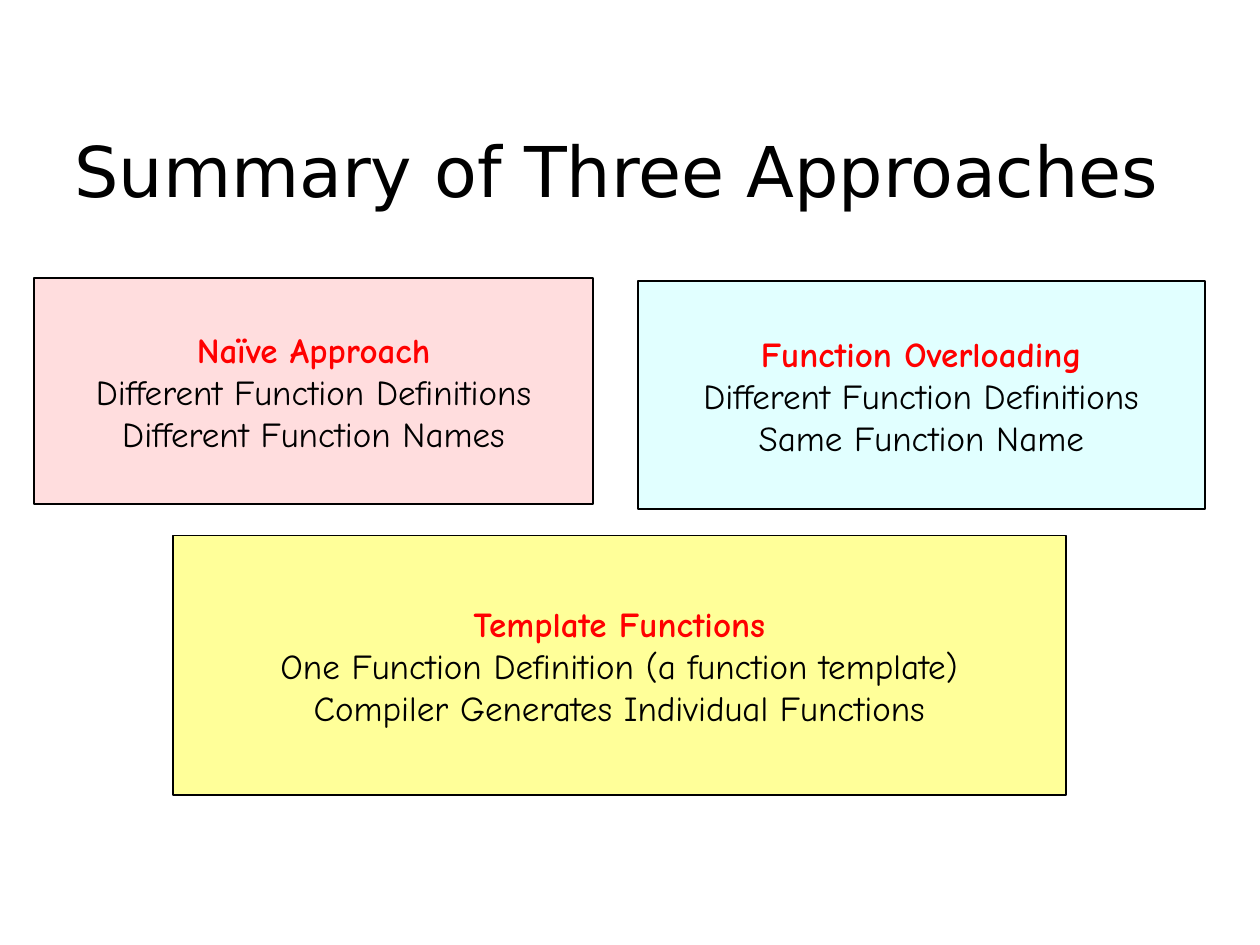
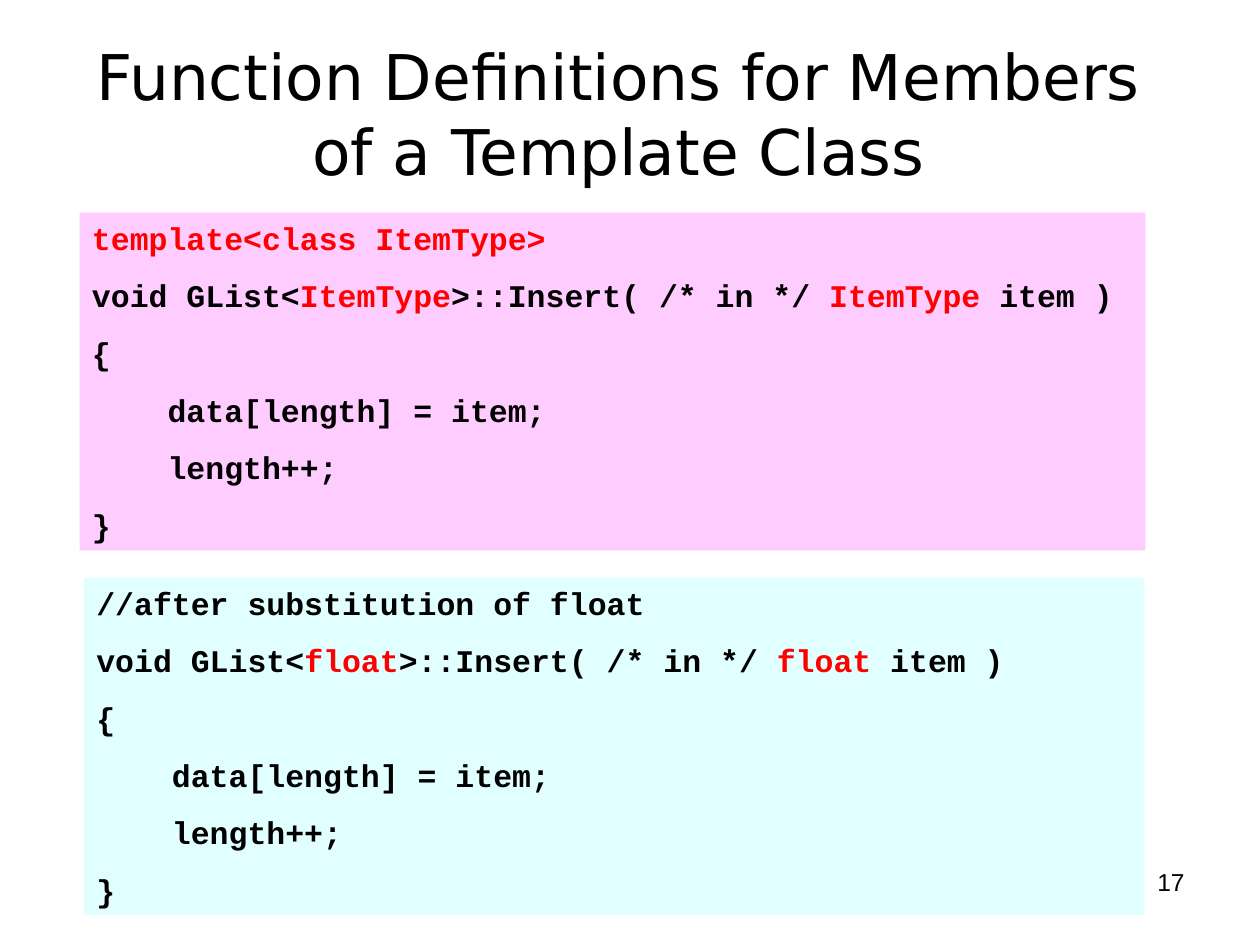
from pptx import Presentation
from pptx.dml.color import RGBColor
from pptx.enum.shapes import MSO_SHAPE
from pptx.enum.text import MSO_ANCHOR, MSO_AUTO_SIZE, PP_ALIGN
from pptx.util import Pt

BLACK, RED = "000000", "FF0000"
ROSE, AQUA, YELLOW, PINK = "FFDDDE", "E1FFFF", "FFFF99", "FFCCFF"
TITLE_FONT, CARD_FONT, CODE_FONT, NUMBER_FONT = (
    "DejaVu Sans", "Comic Neue", "Courier New", "Arial")


def color(hex_value):
    return RGBColor.from_string(hex_value)


def style(paragraph, font_name, size, align, bold=False, hex_value=None):
    paragraph.alignment = align
    font = paragraph.font
    font.name, font.size, font.bold = font_name, Pt(size), bold
    if hex_value:
        font.color.rgb = color(hex_value)


def paragraphs(frame, count):
    """Yield count paragraphs, starting with the one the frame already has."""
    yield frame.paragraphs[0]
    for _ in range(count - 1):
        yield frame.add_paragraph()


def add_titled_slide(prs, text, box, size, anchor):
    slide = prs.slides.add_slide(prs.slide_layouts[5])
    title = slide.shapes.title
    title.left, title.top, title.width, title.height = map(Pt, box)
    frame = title.text_frame
    frame.text = text
    frame.word_wrap = True
    frame.auto_size = MSO_AUTO_SIZE.NONE
    frame.vertical_anchor = anchor
    style(frame.paragraphs[0], TITLE_FONT, size, PP_ALIGN.CENTER, hex_value=BLACK)
    return slide


def add_panel(slide, box, fill, anchor, outlined=False, wrap=True):
    """Add a filled rectangle and return its text frame."""
    panel = slide.shapes.add_shape(MSO_SHAPE.RECTANGLE, *map(Pt, box))
    panel.shadow.inherit = False
    panel.fill.solid()
    panel.fill.fore_color.rgb = color(fill)
    if outlined:
        panel.line.color.rgb = color(BLACK)
        panel.line.width = Pt(1)
    else:
        panel.line.fill.background()
    frame = panel.text_frame
    frame.word_wrap = wrap
    frame.vertical_anchor = anchor
    return frame


def add_approach(slide, box, fill, heading, *details):
    frame = add_panel(slide, box, fill, MSO_ANCHOR.MIDDLE, outlined=True, wrap=False)
    lines = (heading, *details)
    for i, (paragraph, line) in enumerate(zip(paragraphs(frame, len(lines)), lines)):
        paragraph.text = line
        style(paragraph, CARD_FONT, 20, PP_ALIGN.CENTER, bold=i == 0,
              hex_value=RED if i == 0 else BLACK)


def add_insert_code(slide, box, fill, first_line, first_color, item_type):
    """Show the Insert function with item_type in red."""
    signature = [("void GList<", BLACK), (item_type, RED),
                 (">::Insert( /* in */ ", BLACK), (item_type, RED), (" item )", BLACK)]
    body = ["{", "    data[length] = item;", "    length++;", "}"]
    lines = [[(first_line, first_color)], signature, *([(line, BLACK)] for line in body)]
    frame = add_panel(slide, box, fill, MSO_ANCHOR.TOP)
    for i, (paragraph, line) in enumerate(zip(paragraphs(frame, len(lines)), lines)):
        style(paragraph, CODE_FONT, 18, PP_ALIGN.JUSTIFY, bold=True)
        if i:
            paragraph.space_before = Pt(11.2)
        for text, hex_value in line:
            run = paragraph.add_run()
            run.text = text
            run.font.color.rgb = color(hex_value)


def add_page_number(slide, number):
    frame = slide.shapes.add_textbox(*map(Pt, (516, 492, 168, 37))).text_frame
    frame.word_wrap = True
    frame.text = str(number)
    style(frame.paragraphs[0], NUMBER_FONT, 14, PP_ALIGN.RIGHT, hex_value=BLACK)


def main():
    prs = Presentation()
    prs.slide_width, prs.slide_height = Pt(720), Pt(540)

    summary = add_titled_slide(prs, "Summary of Three Approaches",
                               (20, 34.5, 664.5, 90), 40, MSO_ANCHOR.BOTTOM)
    add_approach(summary, (19.5, 159, 319.5, 129), ROSE, "Naïve Approach",
                 "Different Function Definitions", "Different Function Names")
    add_approach(summary, (364.5, 160.5, 324, 130.5), AQUA, "Function Overloading",
                 "Different Function Definitions", "Same Function Name")
    add_approach(summary, (99, 306, 510, 148.5), YELLOW, "Template Functions",
                 "One Function Definition (a function template)",
                 "Compiler Generates Individual Functions")

    members = add_titled_slide(prs, "Function Definitions for Members of a Template Class",
                               (44.5, 21.5, 618, 86), 36, MSO_ANCHOR.MIDDLE)
    add_page_number(members, 17)
    add_insert_code(members, (45.5, 121.5, 609, 193), PINK,
                    "template<class ItemType>", RED, "ItemType")
    add_insert_code(members, (48, 330, 606, 193), AQUA,
                    "//after substitution of float", BLACK, "float")

    prs.save("out.pptx")


if __name__ == "__main__":
    main()
